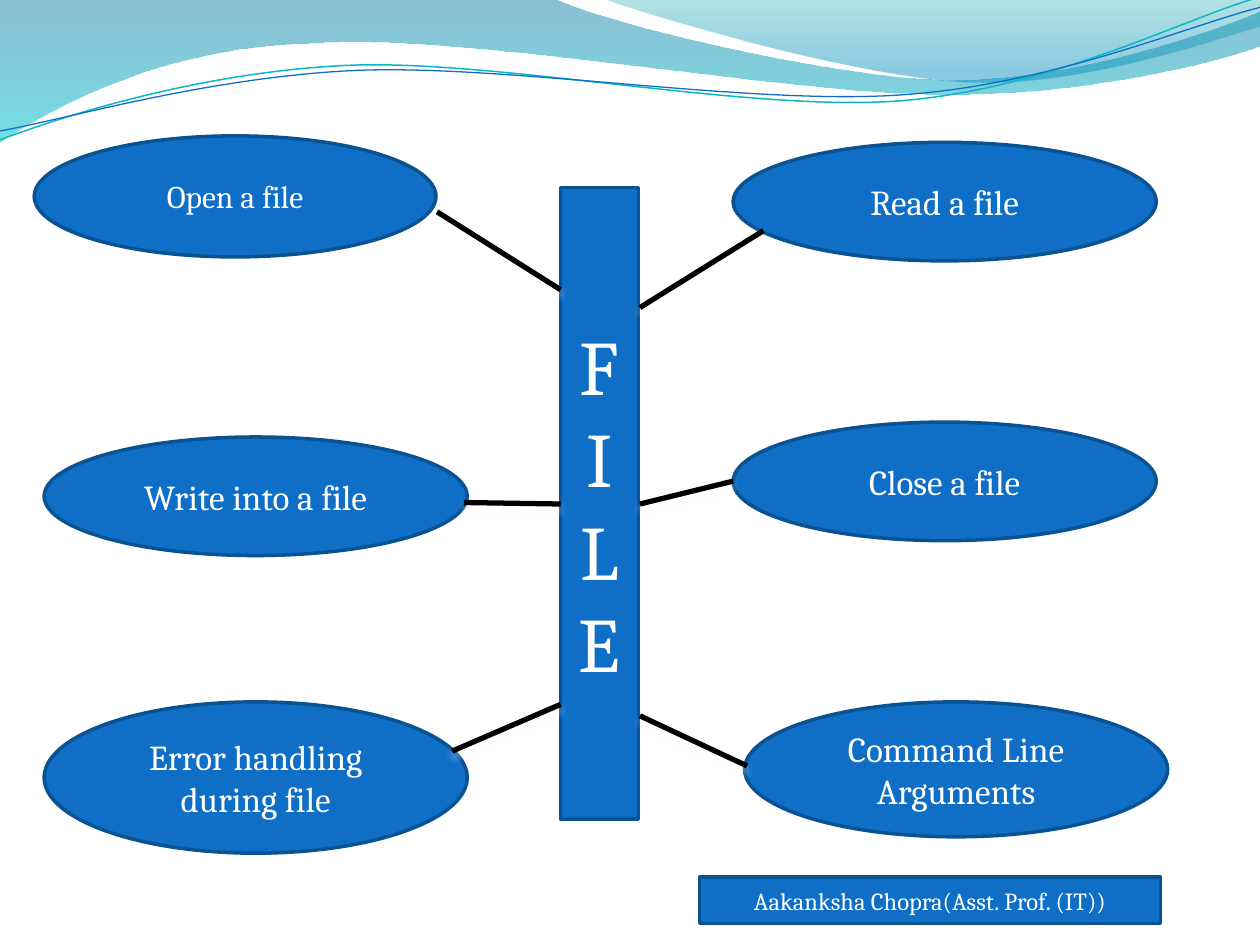
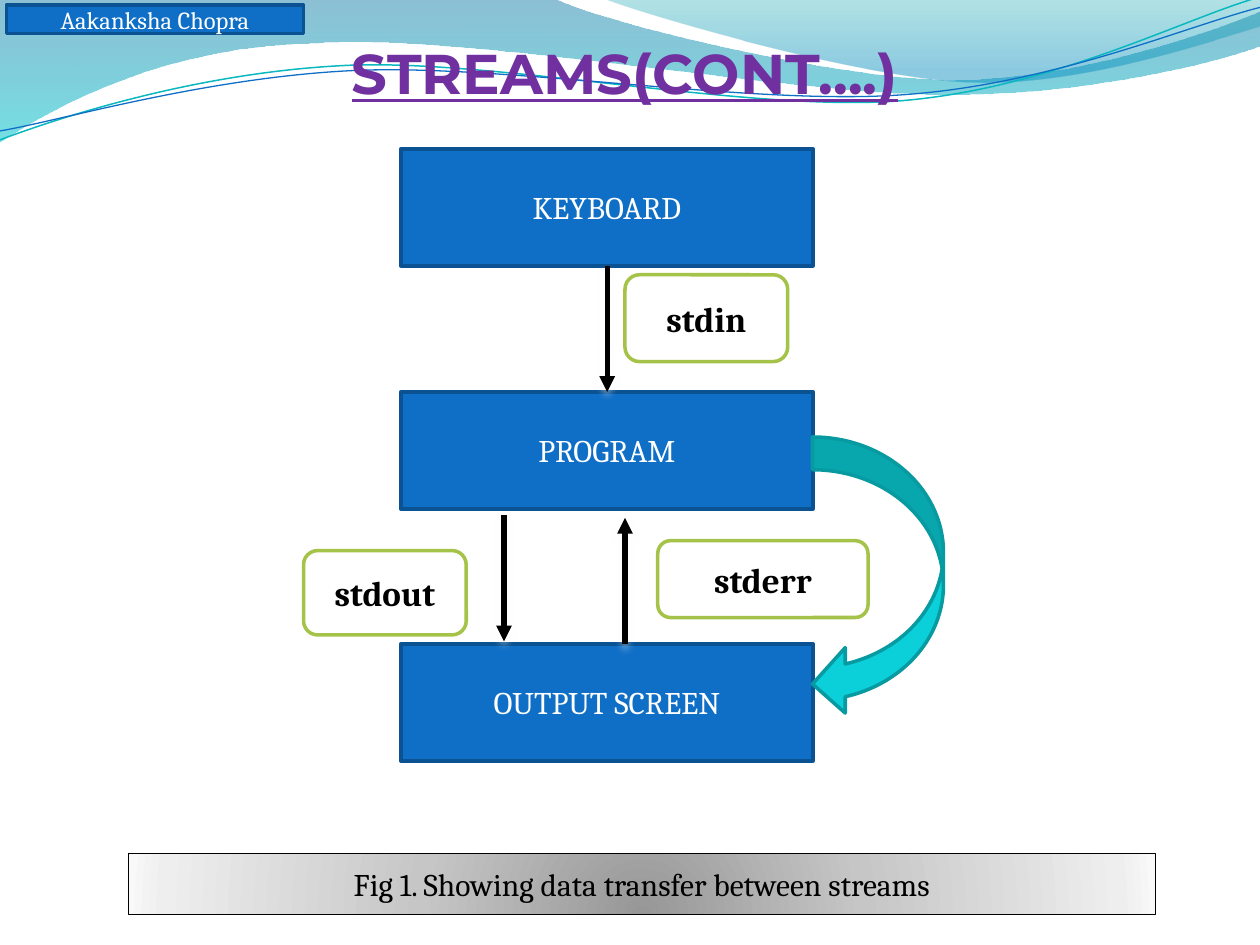
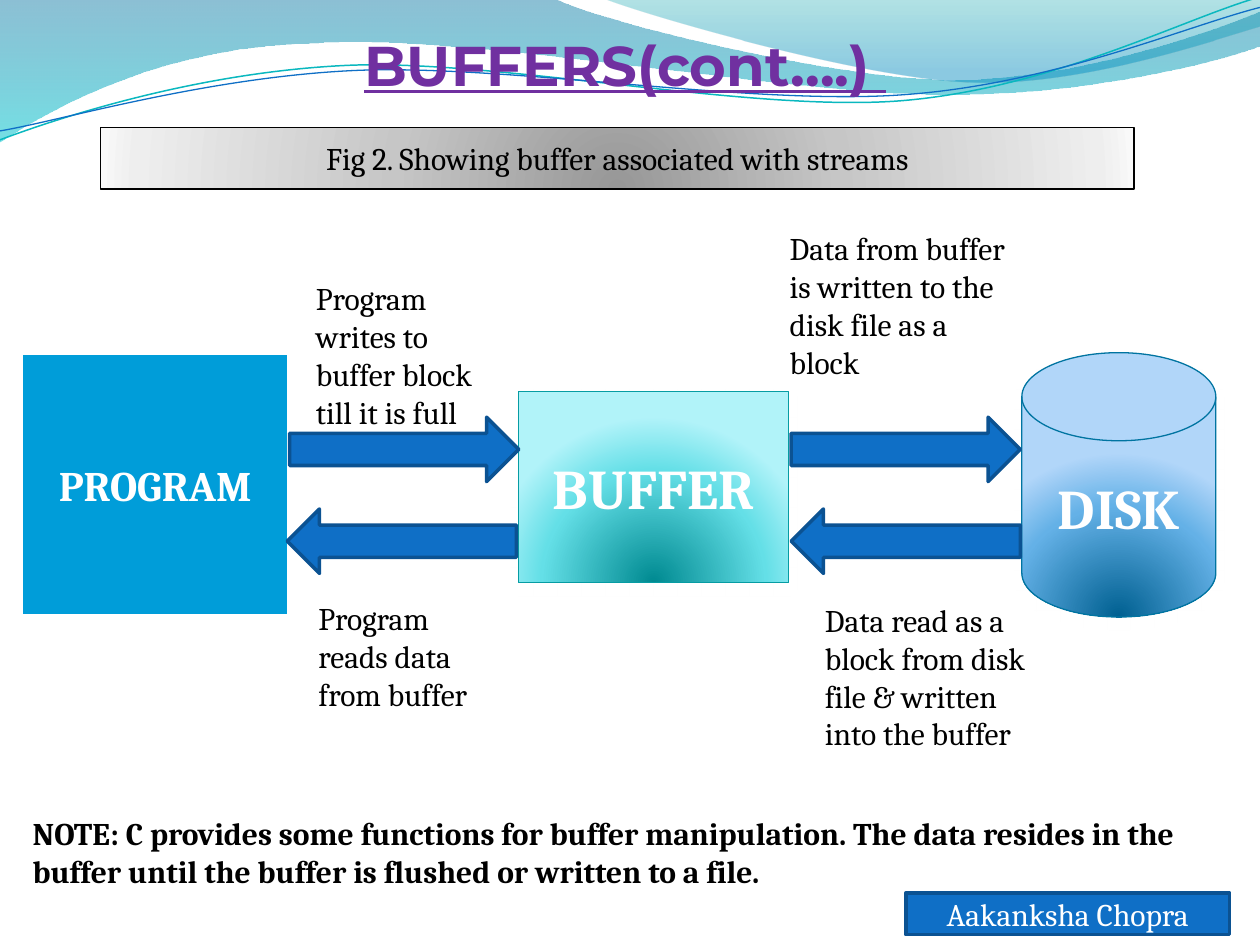
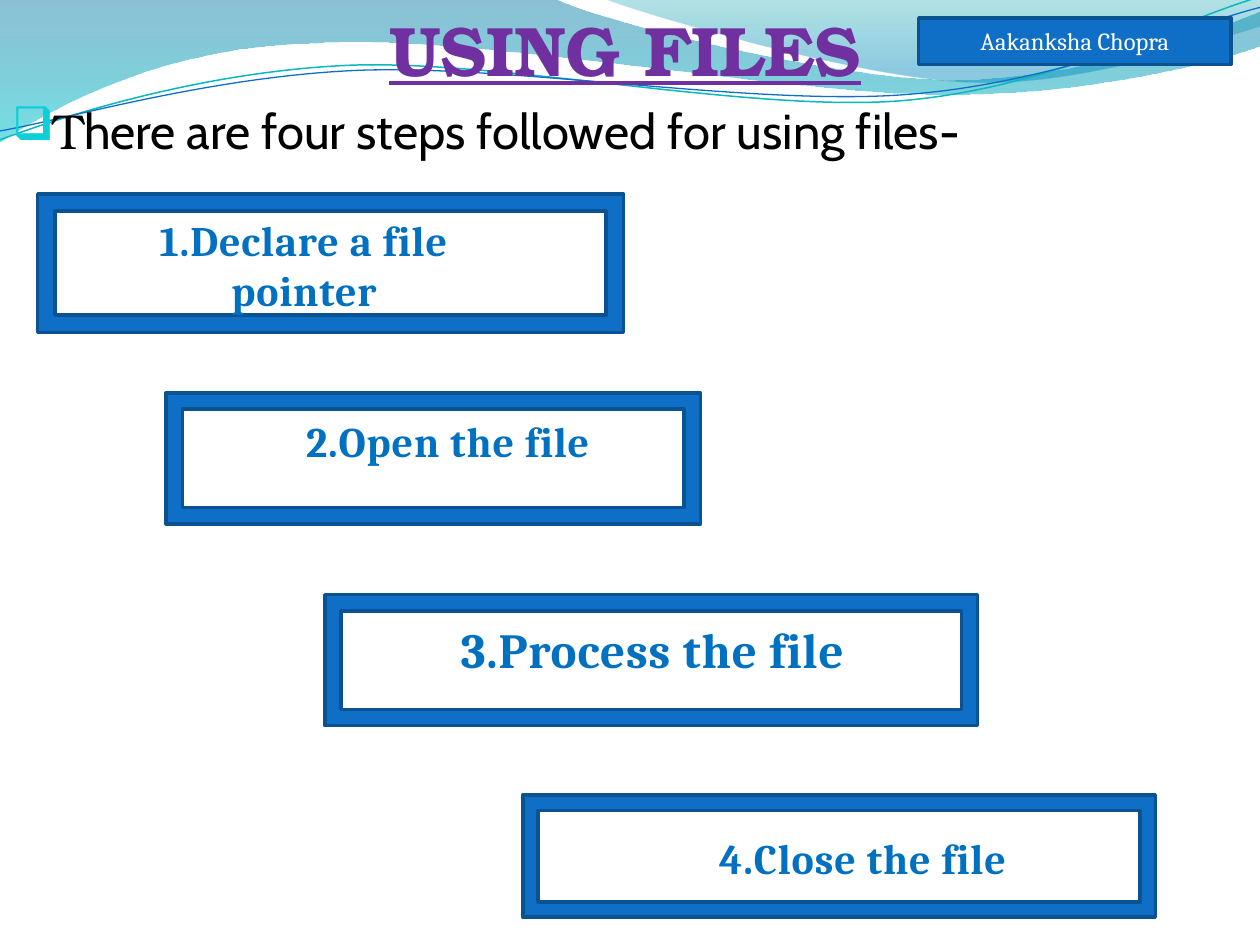
from dataclasses import dataclass
from typing import NamedTuple, Optional, Sequence

from lxml.etree import SubElement
from pptx import Presentation
from pptx.dml.color import RGBColor
from pptx.enum.shapes import MSO_CONNECTOR, MSO_SHAPE
from pptx.enum.text import MSO_ANCHOR, PP_ALIGN
from pptx.oxml.ns import qn
from pptx.util import Cm, Pt


class Stop(NamedTuple):
    percent: int
    color: str
    alpha: int = 100


@dataclass(frozen=True)
class Theme:
    blue: str = "0F6FC6"
    blue_edge: str = "0B5292"
    sky: str = "009DD9"
    cyan: str = "0BD0D9"
    cyan_edge: str = "089AA1"
    green: str = "A5C249"
    step: str = "0070C0"
    title: str = "7030A0"
    white: str = "FFFFFF"
    black: str = "000000"
    body_font: str = "Cambria"
    title_font: str = "Montserrat"
    serif_font: str = "TeX Gyre Bonum"
    list_font: str = "Cabin"
    small: int = 14
    normal: int = 18
    label: int = 20
    medium: int = 24
    lead: int = 28
    large: int = 32
    heading: int = 40
    pillar: int = 44


THEME = Theme()
GREY = (Stop(0, "979797"), Stop(43, "C6C6C6"), Stop(93, "EEEEEE"), Stop(100, "F9F9F9"))
AQUA = (Stop(0, "008A91"), Stop(68, "64DFE7"), Stop(100, "B1F3F9"))
AZURE = (Stop(0, "006091"), Stop(68, "64B1E7"), Stop(100, "B1D6F9"))


class Area(NamedTuple):
    """Left, top, width and height in centimetres."""
    left: float
    top: float
    width: float
    height: float

    def lengths(self) -> list:
        return [Cm(value) for value in self]


class Style(NamedTuple):
    fill: Optional[str] = THEME.blue
    edge: str = THEME.blue_edge
    edge_width: float = 2
    gradient: Sequence[Stop] = ()
    glow: bool = False


class Type(NamedTuple):
    size: int = THEME.normal
    color: str = THEME.white
    bold: bool = False
    underline: bool = False
    font: str = THEME.body_font


class Node(NamedTuple):
    area: Area
    text: str = ""
    type: Type = Type()
    style: Style = Style()
    kind: MSO_SHAPE = MSO_SHAPE.RECTANGLE
    rotation: int = 0


class Link(NamedTuple):
    x1: float
    y1: float
    x2: float
    y2: float


class Wave(NamedTuple):
    """Pieces hold one point for a straight line, three for a Bezier curve."""
    start: tuple
    pieces: Sequence[tuple]
    gradient: Sequence[Stop] = ()
    line: Optional[str] = None
    width: float = 0
    rotation: float = 0


class Step(NamedTuple):
    frame: Area
    label: Area
    text: str
    indent: float = 0
    size: int = THEME.medium


OUTLINE = Style(fill=None, edge=THEME.green)
CAPTION = Style(edge=THEME.black, edge_width=0.75, gradient=GREY, glow=True)
LABEL = Type(THEME.label, THEME.black, bold=True)
BODY = Type(color=THEME.black)
TITLE = Type(THEME.large, THEME.title, True, True, THEME.title_font)

WAVES = (
    Wave((0, 0), (
        ((11.18, -0.03),),
        ((12.09, 0.43), (16.87, 1.6), (19.25, 1.6)),
        ((21.67, 1.6), (24.33, 0.66), (25.4, 0.23)),
        ((25.43, 0.91),),
        ((24.99, 1.12), (22.1, 1.93), (18.95, 1.9)),
        ((15.8, 1.9), (9.7, 0.71), (6.53, 0.86)),
        ((3.28, 0.91), (1.17, 2.11), (-0.03, 2.87)),
        ((0, 0),),
    ), (Stop(0, "0074A1", 45), Stop(100, "00C6CF", 55))),
    Wave((12.17, -0.03), (
        ((12.93, 0.28), (17.32, 1.57), (19.53, 1.65)),
        ((21.74, 1.75), (24.43, 0.81), (25.4, 0.53)),
        ((25.4, 0),),
        ((12.17, -0.03),),
    ), (Stop(0, "00A1A9", 30), Stop(80, "008BBF", 45))),
    Wave((-0.05, 2.22), (
        ((1.19, 1.82), (4.02, 1.04), (7.05, 1.05)),
        ((10.05, 1.07), (15.02, 2.37), (18.08, 2.29)),
        ((21.13, 2.2), (23.89, 0.91), (25.41, 0.55)),
    ), line="0AB8BF", width=0.85, rotation=357.3),
    Wave((-0.04, 2.04), (
        ((1.16, 1.9), (4.18, 1.15), (7.2, 1.16)),
        ((10.25, 1.18), (15.13, 2.25), (18.18, 2.17)),
        ((21.21, 2.1), (23.93, 1.06), (25.45, 0.75)),
    ), line=THEME.blue, width=0.75, rotation=357.3),
)


def rgb(color: str) -> RGBColor:
    return RGBColor.from_string(color)


def add_color(parent, color: str, alpha: int = 100) -> None:
    value = SubElement(parent, qn("a:srgbClr"), val=color)
    if alpha < 100:
        SubElement(value, qn("a:alpha"), val=str(alpha * 1000))


def set_gradient(shape, stops: Sequence[Stop], circular: bool) -> None:
    shape.fill.gradient()
    gradient = shape.element.spPr.find(qn("a:gradFill"))
    for child in list(gradient):
        gradient.remove(child)
    stop_list = SubElement(gradient, qn("a:gsLst"))
    for stop in stops:
        entry = SubElement(stop_list, qn("a:gs"), pos=str(stop.percent * 1000))
        add_color(entry, stop.color, stop.alpha)
    if circular:
        route = SubElement(gradient, qn("a:path"))
        route.set("path", "circle")
        SubElement(route, qn("a:fillToRect"), l="50000", t="130000", r="50000", b="-30000")
    else:
        SubElement(gradient, qn("a:lin"), ang="5400000", scaled="1")


def add_glow(effects) -> None:
    """Add a soft white shadow below a shape."""
    shadow = SubElement(effects, qn("a:outerShdw"), blurRad=str(Pt(4.5)),
                        dist=str(Pt(3)), dir="5400000", rotWithShape="0")
    add_color(shadow, THEME.white, 48)


def add_span(para, text: str, type: Type):
    span = para.add_run()
    span.text = text
    font = span.font
    font.name, font.size = type.font, Pt(type.size)
    font.bold, font.underline = type.bold, type.underline
    font.color.rgb = rgb(type.color)
    return span


def add_node(page, node: Node) -> None:
    shape = page.shapes.add_shape(node.kind, *node.area.lengths())
    style = node.style
    shape.rotation = node.rotation
    shape.shadow.inherit = False
    if style.gradient:
        set_gradient(shape, style.gradient, circular=True)
    elif style.fill:
        shape.fill.solid()
        shape.fill.fore_color.rgb = rgb(style.fill)
    else:
        shape.fill.background()
    shape.line.color.rgb = rgb(style.edge)
    shape.line.width = Pt(style.edge_width)
    if style.glow:
        add_glow(shape.element.spPr.find(qn("a:effectLst")))
    frame = shape.text_frame
    frame.vertical_anchor = MSO_ANCHOR.MIDDLE
    for index, line in enumerate(node.text.splitlines()):
        para = frame.add_paragraph() if index else frame.paragraphs[0]
        para.alignment = PP_ALIGN.CENTER
        add_span(para, line, node.type)


def add_link(page, link: Link, arrow: bool = False) -> None:
    connector = page.shapes.add_connector(
        MSO_CONNECTOR.STRAIGHT, *[Cm(value) for value in link])
    connector.line.color.rgb = rgb(THEME.black)
    connector.line.width = Pt(3)
    properties = connector.element.spPr
    if arrow:
        SubElement(properties.find(qn("a:ln")), qn("a:tailEnd"), type="triangle")
    add_glow(SubElement(properties, qn("a:effectLst")))


def add_text(page, area: Area, text: str, type: Type,
             alignment: PP_ALIGN = PP_ALIGN.LEFT):
    box = page.shapes.add_textbox(*area.lengths())
    box.text_frame.word_wrap = True
    para = box.text_frame.paragraphs[0]
    para.alignment = alignment
    add_span(para, text, type)
    return box.text_frame


def add_title(page, text: str, top: float, type: Type = TITLE):
    frame = add_text(page, Area(0, 0, 25.2, 19.05), text, type, PP_ALIGN.CENTER)
    frame.margin_top = Cm(top)
    return frame


def add_badge(page, area: Area, size: int = THEME.small,
              text: str = "Aakanksha Chopra") -> None:
    add_node(page, Node(area, text, Type(size)))


def add_caption(page, area: Area, text: str) -> None:
    add_node(page, Node(area, text, BODY, CAPTION))


def draw_outline(page, wave: Wave):
    """Build the outline through all points, then join each group of three into a curve."""
    points = [point for piece in wave.pieces for point in piece]
    lengths = [(Cm(x), Cm(y)) for x, y in points]
    builder = page.shapes.build_freeform(Cm(wave.start[0]), Cm(wave.start[1]))
    builder.add_line_segments(lengths, close=bool(wave.gradient))
    shape = builder.convert_to_shape()
    segments = iter(list(shape.element.iter(qn("a:lnTo"))))
    for piece in wave.pieces:
        group = [next(segments) for _ in piece]
        if len(group) == 3:
            outline = group[0].getparent()
            curve = SubElement(outline, qn("a:cubicBezTo"))
            group[0].addprevious(curve)
            for segment in group:
                curve.append(segment[0])
                outline.remove(segment)
    return shape


def add_waves_to_layout(page) -> None:
    """Draw the waves on a page, then move them to its layout, shared by all pages."""
    layout = page.slide_layout
    for placeholder in list(layout.placeholders):
        layout.shapes.element.remove(placeholder.element)
    for wave in WAVES:
        shape = draw_outline(page, wave)
        shape.rotation = wave.rotation
        shape.shadow.inherit = False
        if wave.gradient:
            set_gradient(shape, wave.gradient, circular=False)
            shape.line.fill.background()
        else:
            shape.fill.background()
            shape.line.color.rgb = rgb(wave.line)
            shape.line.width = Pt(wave.width)
        layout.shapes.element.append(shape.element)


def fill_file_page(page) -> None:
    operations = (
        (Area(0.69, 2.74, 8.1, 2.44), "Open a file", THEME.normal),
        (Area(14.78, 2.87, 8.53, 2.39), "Read a file", THEME.label),
        (Area(0.89, 8.81, 8.53, 2.39), "Write into a file", THEME.label),
        (Area(14.78, 8.51, 8.53, 2.39), "Close a file", THEME.label),
        (Area(0.89, 14.15, 8.53, 3.05), "Error handling during file", THEME.label),
        (Area(15.01, 14.15, 8.53, 2.72), "Command Line Arguments", THEME.label),
    )
    for area, text, size in operations:
        add_node(page, Node(area, text, Type(size), kind=MSO_SHAPE.OVAL))
    add_node(page, Node(Area(11.3, 3.78, 1.57, 12.73), "F\nI\nL\nE", Type(THEME.pillar)))
    spokes = (
        Link(8.81, 4.27, 11.3, 5.84), Link(9.35, 10.13, 11.3, 10.16),
        Link(9.12, 15.14, 11.3, 14.2), Link(12.9, 6.2, 15.39, 4.65),
        Link(12.9, 10.16, 14.78, 9.7), Link(12.9, 14.43, 15.06, 15.44),
    )
    for spoke in spokes:
        add_link(page, spoke)
    add_badge(page, Area(14.1, 17.68, 9.3, 0.94), text="Aakanksha Chopra(Asst. Prof. (IT))")


def fill_streams_page(page) -> None:
    add_title(page, "STREAMS(CONT….)", 0.78)
    for top, text in ((3, "KEYBOARD"), (7.9, "PROGRAM"), (12.98, "OUTPUT SCREEN")):
        add_node(page, Node(Area(8.08, top, 8.31, 2.36), text))
    flows = (Link(12.24, 5.36, 12.24, 7.9), Link(12.6, 12.98, 12.6, 10.44),
             Link(10.16, 10.39, 10.16, 12.93))
    for flow in flows:
        add_link(page, flow, arrow=True)
    streams = (
        (Area(12.6, 5.54, 3.28, 1.75), "stdin"),
        (Area(13.26, 10.9, 4.24, 1.55), "stderr"),
        (Area(6.12, 11.1, 3.28, 1.7), "stdout"),
    )
    for area, text in streams:
        add_node(page, Node(area, text, LABEL, OUTLINE, MSO_SHAPE.ROUNDED_RECTANGLE))
    add_node(page, Node(Area(16.38, 8.81, 2.64, 5.64), style=Style(THEME.cyan, THEME.cyan_edge),
                        kind=MSO_SHAPE.CURVED_LEFT_ARROW))
    add_caption(page, Area(2.59, 17.2, 20.7, 1.24),
                "Fig 1. Showing data transfer between streams")
    add_badge(page, Area(0.13, 0.1, 5.99, 0.58))


def fill_buffers_page(page) -> None:
    add_title(page, "BUFFERS(cont….) ", 0.61)
    stages = (
        Node(Area(0.41, 7.11, 5.44, 5.33), "PROGRAM", Type(THEME.medium, bold=True),
             Style(THEME.sky, THEME.white, 3, glow=True)),
        Node(Area(10.46, 7.9, 5.44, 3.84), "BUFFER", Type(THEME.large, bold=True),
             Style(None, "069CA3", 0.75, AQUA, True)),
        Node(Area(20.6, 7.11, 3.91, 5.33), "DISK", Type(THEME.large, bold=True),
             Style(None, "0074A1", 0.75, AZURE, True),
             MSO_SHAPE.FLOWCHART_MAGNETIC_DISK),
    )
    for stage in stages:
        add_node(page, stage)
    for left, top, rotation in ((5.84, 8.41, 0), (15.95, 8.41, 0),
                                (5.79, 10.26, 180), (15.95, 10.26, 180)):
        add_node(page, Node(Area(left, top, 4.62, 1.3), kind=MSO_SHAPE.RIGHT_ARROW,
                            rotation=rotation))
    remarks = (
        (Area(6.12, 5.51, 3.91, 3.33), "Program writes to buffer block till it is full"),
        (Area(15.67, 4.5, 4.9, 3.33),
         "Data from buffer is written to the disk file as a block"),
        (Area(16.38, 11.99, 4.7, 4.11),
         "Data read as a block from disk file & written into the buffer"),
        (Area(6.17, 11.96, 3.91, 2.57), "Program reads data from buffer"),
    )
    for area, text in remarks:
        add_text(page, area, text, BODY)
    add_text(page, Area(0.41, 16.28, 24.13, 1.8),
             "NOTE: C provides some functions for buffer manipulation. The data resides in "
             "the buffer until the buffer is flushed or written to a file.",
             BODY._replace(bold=True))
    add_caption(page, Area(2.03, 2.57, 20.83, 1.24),
                "Fig 2. Showing buffer associated with streams")
    add_badge(page, Area(18.26, 18, 6.53, 0.84), THEME.normal)


def add_lead(frame) -> None:
    """Add the bulleted sentence under the title."""
    para = frame.add_paragraph()
    para.alignment = PP_ALIGN.JUSTIFY
    para.space_before = Pt(5.6)
    properties = para._p.get_or_add_pPr()
    properties.set("marL", str(Cm(0.76)))
    properties.set("indent", str(Cm(-0.76)))
    add_color(SubElement(properties, qn("a:buClr")), THEME.cyan)
    SubElement(properties, qn("a:buSzPct"), val="95000")
    SubElement(properties, qn("a:buChar"), char="❑")
    lead = Type(THEME.lead, THEME.black, font=THEME.serif_font)
    add_span(para, "T", lead)
    add_span(para, "here are four steps followed for using files-",
             lead._replace(font=THEME.list_font))


def decorate(span) -> None:
    """Give a span an outline and wider letter spacing."""
    properties = span.font._element
    properties.set("spc", "50")
    outline = SubElement(properties, qn("a:ln"), w=str(Pt(0.75)))
    add_color(SubElement(outline, qn("a:solidFill")), THEME.blue)
    properties.insert(0, outline)


def fill_steps_page(page) -> None:
    frame = add_title(page, "USING FILES", 0.13,
                      TITLE._replace(size=THEME.heading, font=THEME.serif_font))
    add_lead(frame)
    steps = (
        Step(Area(0.76, 3.91, 11.81, 2.79), Area(1.42, 4.19, 9.42, 2.31),
             "1.Declare a file pointer"),
        Step(Area(3.35, 7.92, 10.77, 2.64), Area(3.63, 8.26, 10.21, 1.27),
             "2.Open the file", 2.29),
        Step(Area(6.55, 11.99, 13.16, 2.64), Area(7.11, 12.37, 10.59, 1.45),
             "3.Process the file", 1.93, THEME.lead),
        Step(Area(10.54, 16.03, 12.75, 2.46), Area(11.99, 16.66, 10.01, 1.27),
             "4.Close the file", 2.26),
    )
    for step in steps:
        add_node(page, Node(step.frame, kind=MSO_SHAPE.FRAME))
        label = add_text(page, step.label, step.text, Type(step.size, THEME.step, bold=True),
                         PP_ALIGN.LEFT if step.indent else PP_ALIGN.CENTER)
        label.margin_left = Cm(0.25 + step.indent)
        decorate(label.paragraphs[0].runs[0])
    add_badge(page, Area(18.52, 0.36, 6.3, 0.94))


def main() -> None:
    deck = Presentation()
    deck.slide_width, deck.slide_height = Cm(25.4), Cm(19.05)
    blank = deck.slide_layouts[6]
    fillers = (fill_file_page, fill_streams_page, fill_buffers_page, fill_steps_page)
    pages = [deck.slides.add_slide(blank) for _ in fillers]
    add_waves_to_layout(pages[0])
    for page, fill_page in zip(pages, fillers):
        fill_page(page)
    deck.save("out.pptx")


if __name__ == "__main__":
    main()
